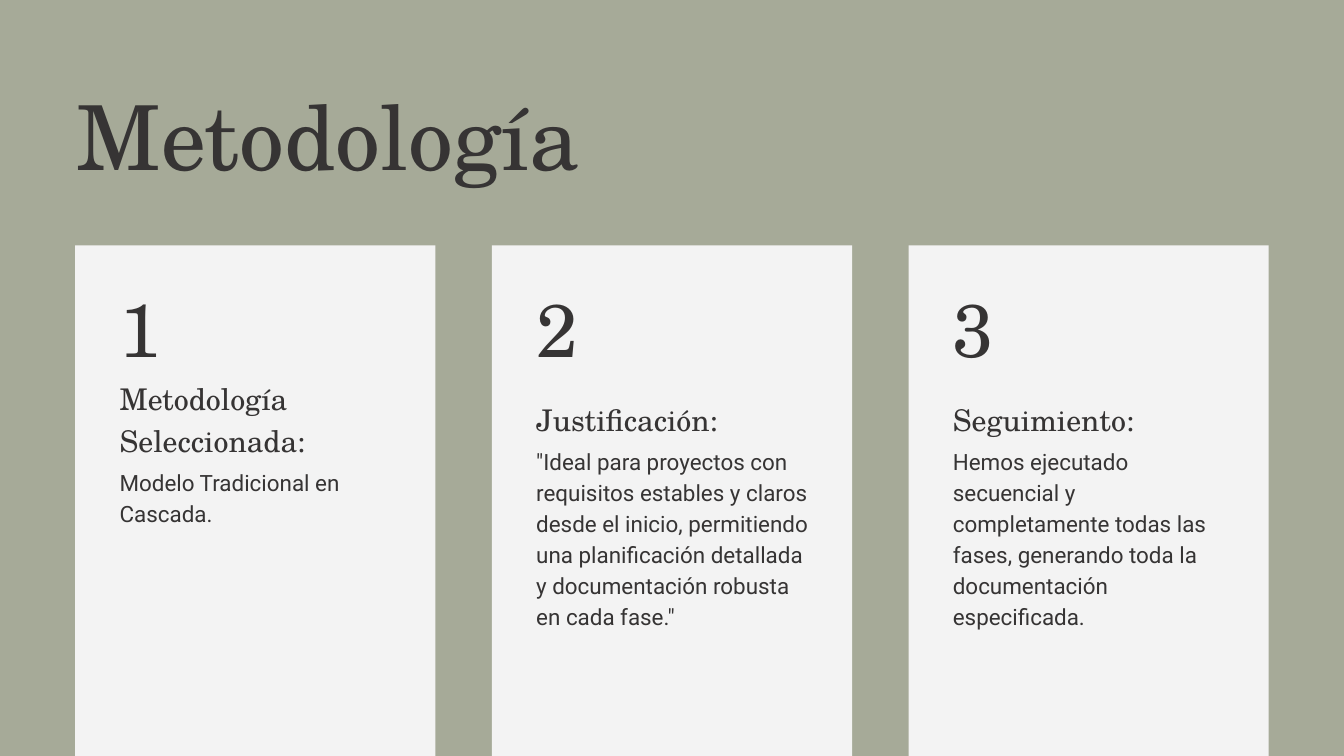
import pptx
import pptx.dml.color
import pptx.enum.shapes
import pptx.enum.text
import pptx.util

Inches = pptx.util.Inches
Pt = pptx.util.Pt
RGBColor = pptx.dml.color.RGBColor

SAGE = RGBColor(0xA6, 0xAA, 0x98)
PALE = RGBColor(0xF3, 0xF3, 0xF3)
DARK = RGBColor(0x36, 0x34, 0x34)
SERIF = "TeX Gyre Schola"
SANS = "Roboto"

WIDTH, HEIGHT = 20, 11.25
MARGIN = 1.12
CARD_TOP, CARD_WIDTH = 3.65, 5.36
PAD = 0.66

# Number, heading, heading lines, body, body lines
CARDS = [
    ("1", "Metodología Seleccionada:", 2,
     "Modelo Tradicional en Cascada.", 2),
    ("2", "Justificación:", 1,
     "\"Ideal para proyectos con requisitos estables y claros desde el inicio, "
     "permitiendo una planificación detallada y documentación robusta en cada "
     "fase.\"", 6),
    ("3", "Seguimiento:", 1,
     "Hemos ejecutado secuencial y completamente todas las fases, generando "
     "toda la documentación especificada.", 6),
]


def place(shape, left, top, width, height):
    shape.left, shape.top = Inches(left), Inches(top)
    shape.width, shape.height = Inches(width), Inches(height)


def write(shape, text, font, size, line):
    """Fill a shape with one paragraph; size and line spacing in points."""
    frame = shape.text_frame
    frame.text = text
    frame.word_wrap = True
    frame.auto_size = pptx.enum.text.MSO_AUTO_SIZE.NONE
    frame.vertical_anchor = pptx.enum.text.MSO_ANCHOR.TOP
    frame.margin_left = frame.margin_right = 0
    frame.margin_top = frame.margin_bottom = 0
    para = frame.paragraphs[0]
    para.alignment = pptx.enum.text.PP_ALIGN.LEFT
    para.line_spacing = Pt(line)
    style = para.runs[0].font
    style.name, style.size = font, Pt(size)
    style.color.rgb = DARK


def add_text(slide, box, text, font, size, line):
    shape = slide.shapes.add_textbox(*[Inches(v) for v in box])
    write(shape, text, font, size, line)


def add_title(slide, left, top, width, height):
    title = slide.shapes.title
    place(title, left, top, width, height)
    write(title, "Metodología", SERIF, 96, 134.4)


def add_card(slide, left, top, width, height, card):
    number, head, head_lines, body, body_lines = card
    panel = slide.shapes.add_shape(
        pptx.enum.shapes.MSO_SHAPE.RECTANGLE,
        Inches(left), Inches(top), Inches(width), Inches(height))
    panel.shadow.inherit = False
    panel.fill.solid()
    panel.fill.fore_color.rgb = PALE
    panel.line.fill.background()

    text_left, text_width = left + PAD, width - 2 * PAD + 0.02
    add_text(slide, (text_left, top + 0.01, text_width, 1.76),
             number, SERIF, 80, 136)

    # The heading is centred on a fixed height, and the body follows it.
    head_height = 0.62 * head_lines - 0.05
    head_top = top + 2.52 - head_height / 2
    add_text(slide, (text_left, head_top, text_width, head_height),
             head, SERIF, 32, 44.8)
    body_top = head_top + head_height + 0.16
    add_text(slide, (text_left, body_top, text_width, 0.46 * body_lines),
             body, SANS, 24, 33.1)


def main():
    deck = pptx.Presentation()
    deck.slide_width, deck.slide_height = Inches(WIDTH), Inches(HEIGHT)
    slide = deck.slides.add_slide(deck.slide_layouts[5])
    slide.background.fill.solid()
    slide.background.fill.fore_color.rgb = SAGE

    add_title(slide, 1.14, 0.93, 17.74, 1.8)
    step = (WIDTH - 2 * MARGIN - CARD_WIDTH) / (len(CARDS) - 1)
    for i, card in enumerate(CARDS):
        add_card(slide, MARGIN + i * step, CARD_TOP,
                 CARD_WIDTH, HEIGHT - CARD_TOP, card)
    deck.save("out.pptx")


if __name__ == "__main__":
    main()
